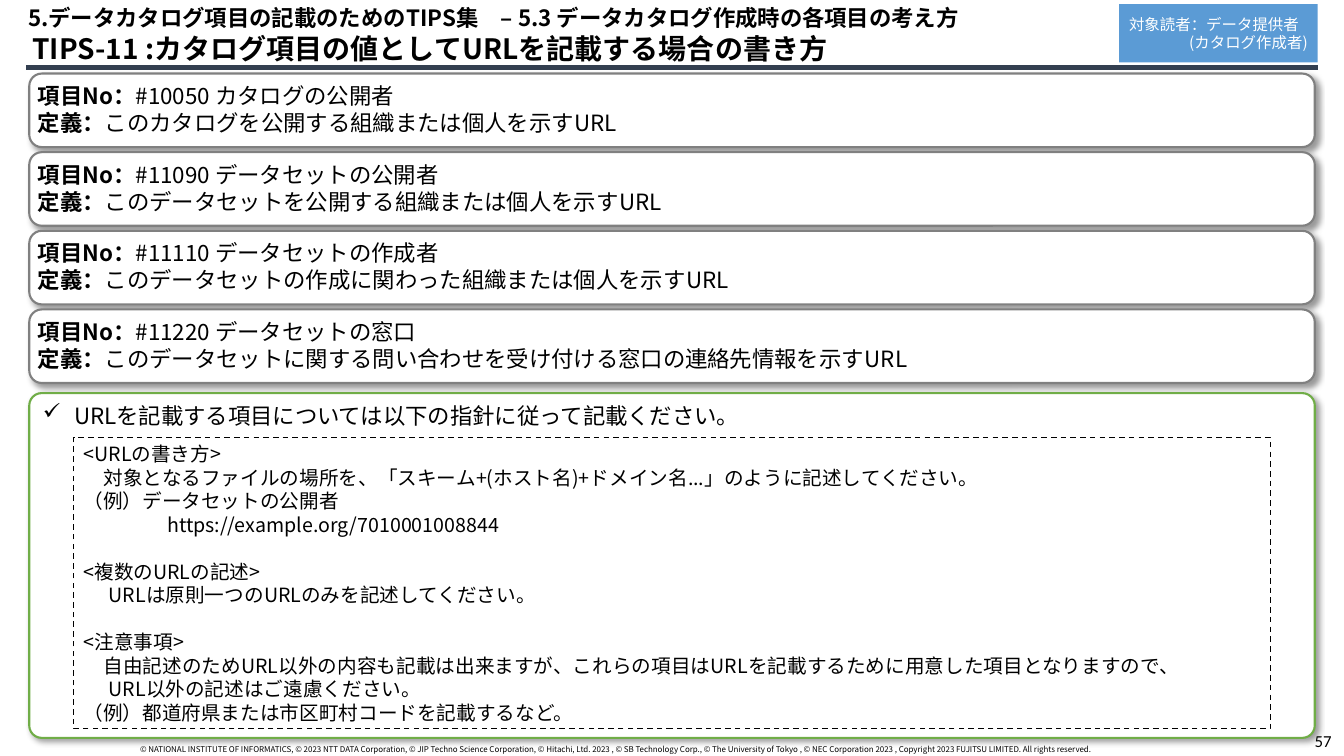
from dataclasses import dataclass
from lxml.etree import SubElement as Sub
from pptx import Presentation
from pptx.dml.color import RGBColor as Rgb
from pptx.enum.dml import MSO_LINE as Dash
from pptx.enum.shapes import MSO_CONNECTOR as Conn, MSO_SHAPE as Kind
from pptx.enum.text import MSO_ANCHOR as Anchor, PP_ALIGN as Align
from pptx.oxml.ns import qn
from pptx.util import Inches, Pt

HUES = {"ink": "000000", "paper": "FFFFFF", "rule": "333F50", "gray": "808080",
        "green": "70AD47", "blue": "5B9BD5"}
FONT = "Noto Sans CJK JP"
LEFT, WIDE = 0.29, 12.75


@dataclass
class Item:
    code: str
    name: str
    sense: str


@dataclass
class Line:
    text: str
    left: float = 0
    hang: float = 0
    gap: float = 0


ITEMS = [
    Item("#10050", "カタログの公開者", "このカタログを公開する組織または個人を示すURL"),
    Item("#11090", "データセットの公開者", "このデータセットを公開する組織または個人を示すURL"),
    Item("#11110", "データセットの作成者", "このデータセットの作成に関わった組織または個人を示すURL"),
    Item("#11220", "データセットの窓口",
         "このデータセットに関する問い合わせを受け付ける窓口の連絡先情報を示すURL"),
]
BLANK = 16.8
GUIDE = [
    Line("<URLの書き方>"),
    Line("対象となるファイルの場所を、「スキーム+(ホスト名)+ドメイン名...」のように記述してください。", 0.2),
    Line("（例）データセットの公開者"),
    Line("https://example.org/7010001008844", 0.83),
    Line("<複数のURLの記述>", gap=BLANK),
    Line("URLは原則一つのURLのみを記述してください。", 0.25),
    Line("<注意事項>", gap=BLANK),
    Line("自由記述のためURL以外の内容も記載は出来ますが、これらの項目は"
         "URLを記載するために用意した項目となりますので、\v"
         "URL以外の記述はご遠慮ください。", 0.25, -0.05),
    Line("（例）都道府県または市区町村コードを記載するなど。"),
]
RIGHTS = ("© NATIONAL INSTITUTE OF INFORMATICS, © 2023 NTT DATA Corporation, "
          "© JIP Techno Science Corporation, © Hitachi, Ltd. 2023 , "
          "© SB Technology Corp., © The University of Tokyo , "
          "© NEC Corporation 2023 , Copyright 2023 FUJITSU LIMITED. All rights reserved.")


def tint(name: str) -> Rgb:
    return Rgb.from_string(HUES[name])


def add_run(para, text: str, size: float, bold: bool = False,
            hue: str = "ink", face: str = FONT) -> None:
    run = para.add_run()
    run.text = text
    font = run.font
    font.size, font.bold, font.name = Pt(size), bold, face
    font.color.rgb = tint(hue)
    Sub(font._element, qn("a:ea")).set("typeface", face)


def indent(para, left: float, hang: float) -> None:
    props = para._p.get_or_add_pPr()
    props.set("marL", str(Inches(left)))
    props.set("indent", str(Inches(hang)))


def set_frame(frame, side: float = 0.1, top: float = 0.05,
              anchor=Anchor.TOP, wrap: bool = True):
    frame.word_wrap, frame.vertical_anchor = wrap, anchor
    frame.margin_left = frame.margin_right = Inches(side)
    frame.margin_top = frame.margin_bottom = Inches(top)
    para = frame.paragraphs[0]
    para.alignment = Align.LEFT
    return para


def add_label(slide, box: tuple, text: str, size: float, bold: bool = False,
              face: str = FONT, **style):
    area = slide.shapes.add_textbox(*map(Inches, box))
    para = set_frame(area.text_frame, **style)
    add_run(para, text, size, bold, face=face)
    return para


def add_box(slide, kind, box: tuple, fill: str, edge: str = "", width: float = 0):
    shape = slide.shapes.add_shape(kind, *map(Inches, box))
    shape.shadow.inherit = False
    shape.fill.solid()
    shape.fill.fore_color.rgb = tint(fill)
    if edge:
        shape.line.color.rgb = tint(edge)
        shape.line.width = Pt(width)
    else:
        shape.line.fill.background()
    return shape


def add_card(slide, top: float, high: float, edge: str, curve: float):
    card = add_box(slide, Kind.ROUNDED_RECTANGLE, (LEFT, top, WIDE, high), "paper", edge, 1.5)
    card.adjustments[0] = curve
    glow = Sub(card._element.spPr.find(qn("a:effectLst")), qn("a:outerShdw"),
               blurRad=str(Pt(4)), dist=str(Pt(3)), dir="2700000", algn="tl", rotWithShape="0")
    shade = Sub(glow, qn("a:srgbClr"), val=HUES["ink"])
    Sub(shade, qn("a:alpha"), val="40000")
    return card


def add_item(slide, top: float, item: Item) -> None:
    frame = add_card(slide, top, 0.73, "gray", 0.17).text_frame
    para = set_frame(frame, side=0.05)
    add_run(para, "項目No：", 16, True)
    add_run(para, f"{item.code} {item.name}", 16)
    para = frame.add_paragraph()
    para.alignment = Align.LEFT
    add_run(para, "定義：", 16, True)
    add_run(para, item.sense, 16)


def add_head(slide) -> None:
    rule = slide.shapes.add_connector(
        Conn.STRAIGHT, *map(Inches, (0.26, 0.67, 13.07, 0.67)))
    rule.line.color.rgb, rule.line.width = tint("rule"), Pt(3)
    Sub(rule._element.spPr, qn("a:effectLst"))
    add_label(slide, (0.16, 0.26, 13.09, 0.44),
              "TIPS-11 :カタログ項目の値としてURLを記載する場合の書き方", 20, True, side=0.16)
    para = add_label(slide, (0.16, 0.01, 12.87, 0.54),
                     "5.データカタログ項目の記載のためのTIPS集　– 5.3 データカタログ作成時の各項目の考え方",
                     16, True, side=0.12, top=0.06)
    para.line_spacing = 0.9
    badge = add_box(slide, Kind.RECTANGLE, (11.1, 0.04, 1.97, 0.58), "blue")
    frame = badge.text_frame
    para = set_frame(frame, anchor=Anchor.MIDDLE, wrap=False)
    add_run(para, "対象読者：データ提供者", 11, hue="paper")
    para = frame.add_paragraph()
    para.alignment = Align.RIGHT
    add_run(para, "(カタログ作成者)", 11, hue="paper")


def add_guide(slide) -> None:
    panel = add_card(slide, 3.9, 3.42, "green", 0.036)
    para = set_frame(panel.text_frame)
    indent(para, 0.31, -0.31)
    Sub(para._p.get_or_add_pPr(), qn("a:buChar"), char="✓")
    add_run(para, "URLを記載する項目については以下の指針に従って記載ください。", 16)
    box = add_box(slide, Kind.RECTANGLE, (0.73, 4.34, 11.87, 2.89), "paper", "ink", 1)
    box.line.dash_style = Dash.DASH
    frame = box.text_frame
    para = set_frame(frame, anchor=Anchor.MIDDLE)
    for rank, line in enumerate(GUIDE):
        if rank:
            para = frame.add_paragraph()
            para.alignment = Align.LEFT
        indent(para, line.left, line.hang)
        if line.gap:
            para.space_before = Pt(line.gap)
        for part, text in enumerate(line.text.split("\v")):
            if part:
                para.add_line_break()
            add_run(para, text, 14)


def add_foot(slide) -> None:
    add_label(slide, (12.94, 7.2, 0.4, 0.3), "57", 12, face="Calibri",
              anchor=Anchor.MIDDLE, wrap=False)
    para = add_label(slide, (1.29, 7.39, 10.75, 0.14), RIGHTS, 5.7, anchor=Anchor.BOTTOM)
    para.line_spacing = Pt(1.6)


def main() -> None:
    deck = Presentation()
    deck.slide_width, deck.slide_height = Inches(13.33), Inches(7.5)
    slide = deck.slides.add_slide(deck.slide_layouts[6])
    add_foot(slide)
    for rank, item in enumerate(ITEMS):
        add_item(slide, 0.73 + 0.78 * rank, item)
    add_head(slide)
    add_guide(slide)
    deck.save("out.pptx")


if __name__ == "__main__":
    main()
